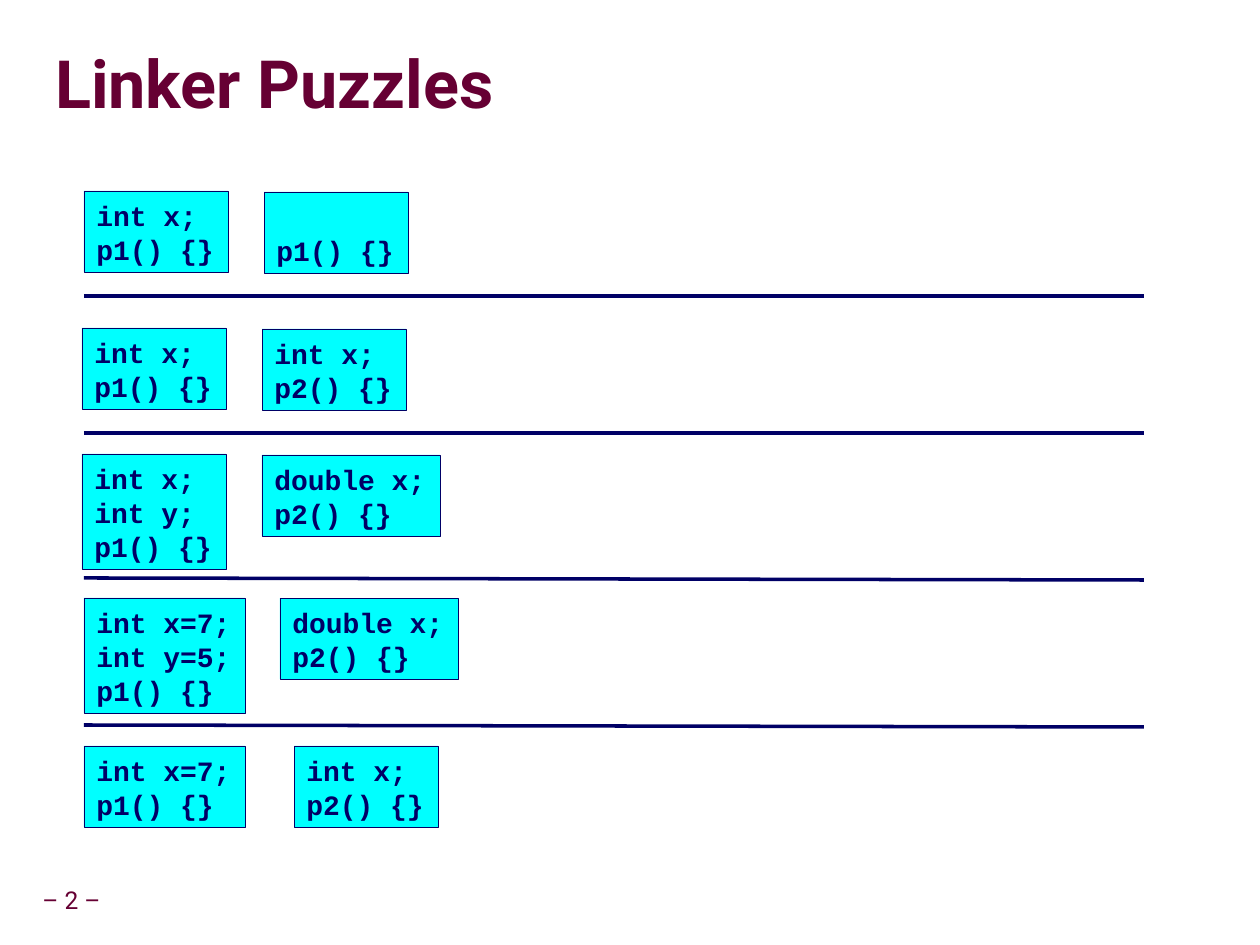
"""Build the Linker Puzzles slide: pairs of code modules split by rules."""
from lxml.etree import SubElement
from pptx import Presentation
from pptx.dml.color import RGBColor
from pptx.enum.shapes import MSO_CONNECTOR, MSO_SHAPE
from pptx.enum.text import MSO_ANCHOR, PP_ALIGN
from pptx.oxml import parse_xml
from pptx.oxml.ns import nsdecls, qn
from pptx.util import Emu, Pt

SCALE = 914400 / 126
NAVY, CYAN, WINE = "000066", "00FFFF", "660033"
CODE = {"name": "Courier New", "size": Pt(16), "bold": True}
HEAD = {"name": "Roboto", "size": Pt(38), "bold": True}
FOOT = {"name": "Roboto", "size": Pt(14), "bold": False}


def px(*nums):
    return [Emu(round(n * SCALE)) for n in nums]


def write(shape, lines, style, hue, frame, para):
    body = shape.text_frame
    for key, val in frame.items():
        setattr(body, key, val)
    body.text = "\n".join(lines)
    for part in body.paragraphs:
        for key, val in para.items():
            setattr(part, key, val)
        font = part.runs[0].font
        for key, val in style.items():
            setattr(font, key, val)
        font.color.rgb = RGBColor.from_string(hue)


deck = Presentation()
deck.slide_width, deck.slide_height = px(1260, 945)
slide = deck.slides.add_slide(deck.slide_layouts[6])
shapes = slide.shapes

sides = ["margin_left", "margin_right", "margin_top", "margin_bottom"]
middle = {"vertical_anchor": MSO_ANCHOR.MIDDLE}
title = shapes.add_textbox(*px(55, 34, 1201, 107))
write(title, ["Linker Puzzles"], HEAD, WINE,
      dict.fromkeys(sides, 0) | middle | {"word_wrap": True},
      {"line_spacing": 0.87})
shade = parse_xml(
    f'<a:effectLst {nsdecls("a")}><a:outerShdw dist="53882" dir="2700000">'
    '<a:srgbClr val="969696"/></a:outerShdw></a:effectLst>')
title.text_frame.paragraphs[0].runs[0].font.fill._xPr.find(
    qn("a:solidFill")).addnext(shade)

page = shapes.add_textbox(*px(30, 882, 83, 39))
write(page, ["– 2 –"], FOOT, WINE,
      dict.fromkeys(sides, px(6)[0]) | middle | {"word_wrap": False},
      {"alignment": PP_ALIGN.CENTER, "line_spacing": 0.9})

boxes = [
    (84, 191, 2, ["int x;", "p1() {}"]),
    (264, 192, 2, ["p1() {}"]),
    (82, 328, 2, ["int x;", "p1() {}"]),
    (262, 329, 2, ["int x;", "p2() {}"]),
    (82, 454, 3, ["int x;", "int y;", "p1() {}"]),
    (262, 455, 2, ["double x;", "p2() {}"]),
    (84, 598, 3, ["int x=7;", "int y=5;", "p1() {}"]),
    (280, 598, 2, ["double x;", "p2() {}"]),
    (84, 746, 2, ["int x=7;", "p1() {}"]),
    (294, 746, 2, ["int x;", "p2() {}"]),
]
for left, top, rows, lines in boxes:
    wide = 25 + 17 * max(map(len, lines))
    box = shapes.add_shape(MSO_SHAPE.RECTANGLE,
                           *px(left, top, wide, 13 + 34 * rows))
    box.shadow.inherit = False
    box.fill.solid()
    box.fill.fore_color.rgb = RGBColor.from_string(CYAN)
    box.line.color.rgb = RGBColor.from_string(NAVY)
    box.line.width = Pt(0.25)
    write(box, lines, CODE, NAVY,
          {"vertical_anchor": MSO_ANCHOR.BOTTOM, "word_wrap": False},
          {"alignment": PP_ALIGN.LEFT})

for start, end in [(296, 296), (433, 433), (578, 580), (725, 727)]:
    rule = shapes.add_connector(MSO_CONNECTOR.STRAIGHT,
                                *px(84, start, 1144, end))
    rule.line.color.rgb = RGBColor.from_string(NAVY)
    rule.line.width = Pt(2)
    SubElement(rule._element.spPr, qn("a:effectLst"))

deck.save("out.pptx")
